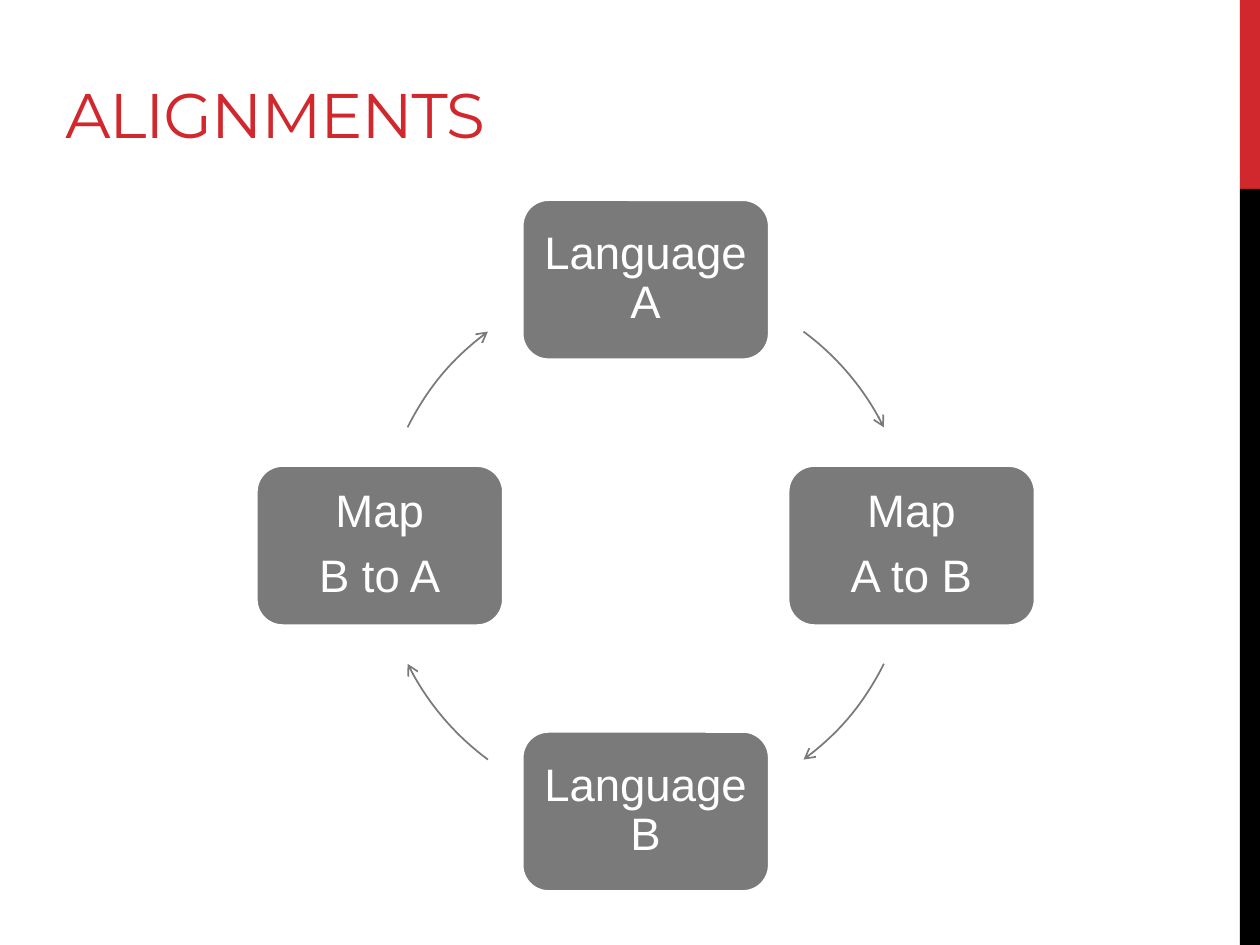
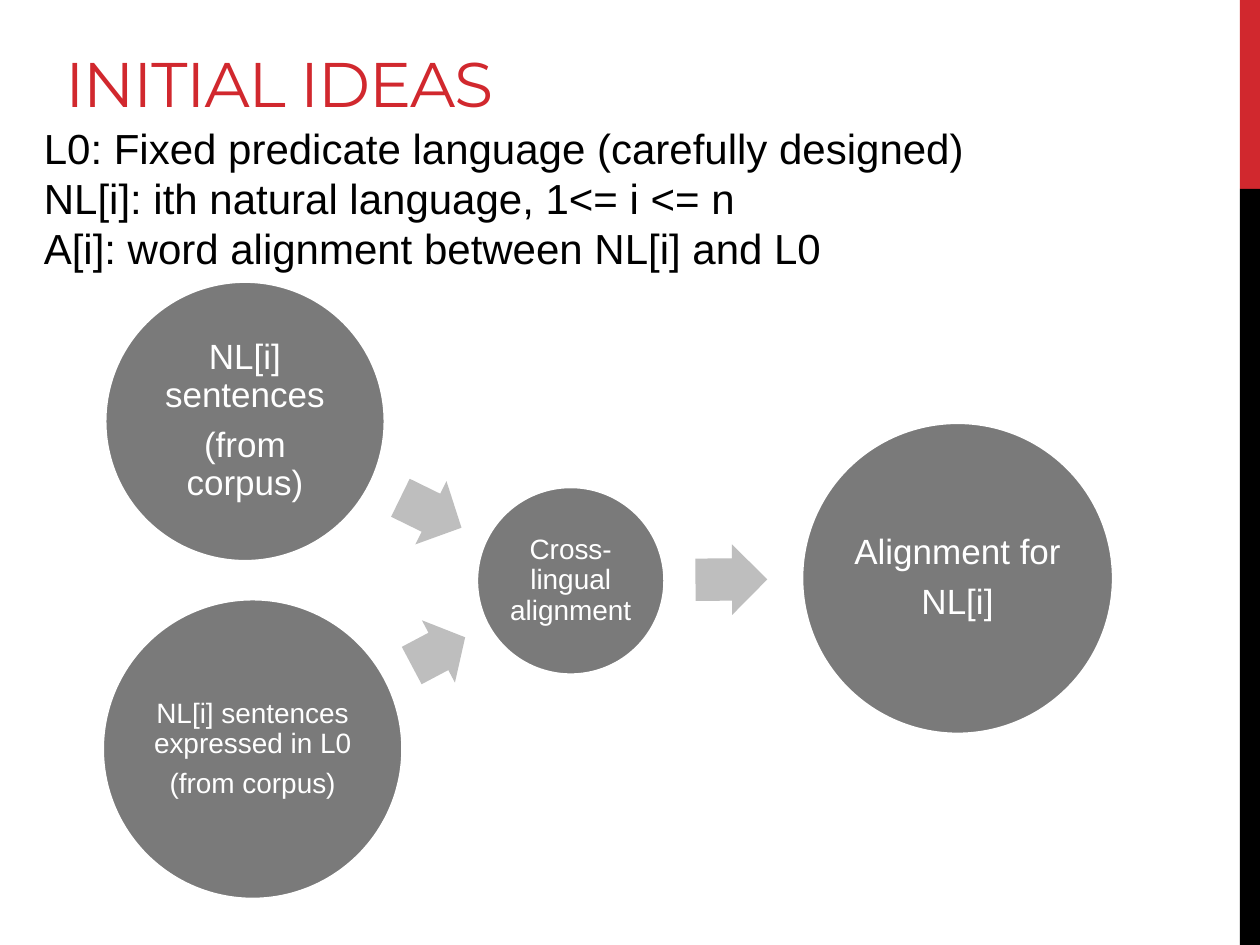
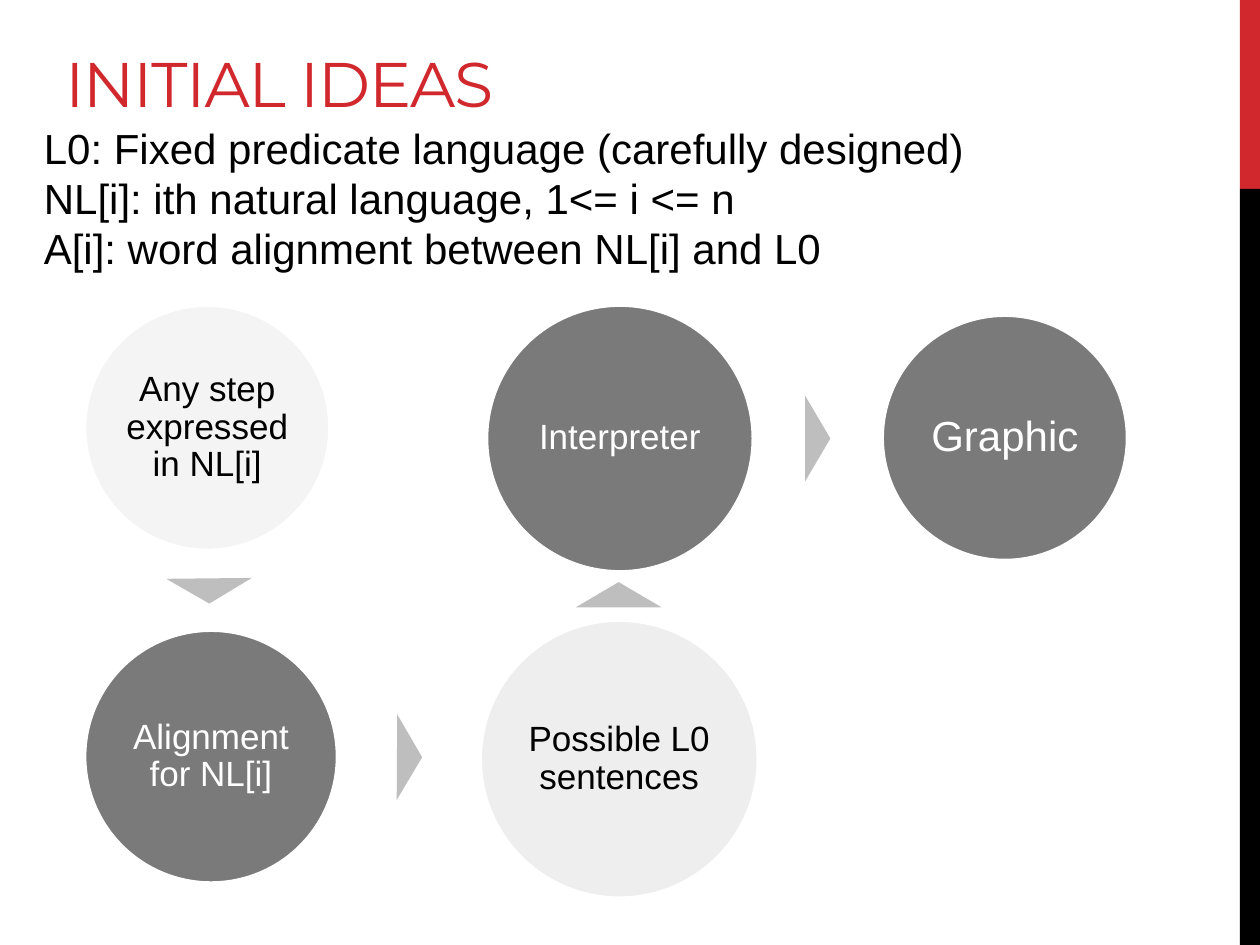
from dataclasses import dataclass

from lxml import etree
from pptx import Presentation
from pptx.dml.color import RGBColor
from pptx.enum.shapes import MSO_SHAPE
from pptx.enum.text import MSO_ANCHOR, MSO_AUTO_SIZE, PP_ALIGN
from pptx.oxml.ns import qn
from pptx.util import Inches, Pt

RECT = MSO_SHAPE.RECTANGLE
ROUND_RECT = MSO_SHAPE.ROUNDED_RECTANGLE
OVAL = MSO_SHAPE.OVAL
ARC = MSO_SHAPE.ARC
ARROW = MSO_SHAPE.RIGHT_ARROW
TRIANGLE = MSO_SHAPE.ISOSCELES_TRIANGLE
MIDDLE = MSO_ANCHOR.MIDDLE
BOTTOM = MSO_ANCHOR.BOTTOM
CENTER = PP_ALIGN.CENTER
GROW = MSO_AUTO_SIZE.SHAPE_TO_FIT_TEXT

COLS, ROWS = 100, 75
CELL = Inches(0.1)


@dataclass(frozen=True)
class Theme:
    red: str = "D1282E"
    black: str = "000000"
    white: str = "FFFFFF"
    node: str = "7A7A7A"
    pointer: str = "BEBEBE"
    title_font: str = "Montserrat"
    body_font: str = "Arial"
    title_size: int = 36
    box_size: int = 26
    body_size: int = 24
    circle_size: int = 20
    small_size: int = 16
    outline: float = 2.25
    arc_line: float = 1


def grid(*cells):
    return [round(c * CELL) for c in cells]


def rgb(value):
    return RGBColor.from_string(value)


class Deck:
    def __init__(self, theme):
        self.theme = theme
        self.prs = Presentation()
        self.prs.slide_width, self.prs.slide_height = grid(COLS, ROWS)
        self.slide = None

    def new_slide(self, title, title_bottom):
        self.slide = self.prs.slides.add_slide(self.prs.slide_layouts[6])
        self.shape(RECT, (98.4, 0, 1.6, 15), self.theme.red)
        self.shape(RECT, (98.4, 15, 1.6, 60), self.theme.black)
        self.title(title, title_bottom)

    def shape(self, kind, box, fill=None, rotation=0):
        sp = self.slide.shapes.add_shape(kind, *grid(*box))
        sp.shadow.inherit = False
        sp.rotation = rotation
        sp.line.fill.background()
        if fill:
            sp.fill.solid()
            sp.fill.fore_color.rgb = rgb(fill)
        else:
            sp.fill.background()
        return sp

    def set_text(self, tf, lines, font, size, color):
        tf.word_wrap = True
        for i, line in enumerate(lines):
            p = tf.add_paragraph() if i else tf.paragraphs[0]
            p.text = line
            p.font.name = font
            p.font.size = Pt(size)
            p.font.color.rgb = rgb(color)

    def title(self, text, bottom):
        t = self.theme
        tf = self.slide.shapes.add_textbox(*grid(4.2, bottom - 15, 63.3, 15)).text_frame
        tf.vertical_anchor = BOTTOM
        self.set_text(tf, [text], t.title_font, t.title_size, t.red)
        tf.paragraphs[0].runs[0]._r.get_or_add_rPr().set("spc", "-60")

    def body(self, lines):
        t = self.theme
        tf = self.slide.shapes.add_textbox(*grid(2.5, 9.2, 93.3, 13.1)).text_frame
        self.set_text(tf, lines, t.body_font, t.body_size, t.black)
        tf.auto_size = GROW

    def node(self, kind, box, lines, size, inset, opacity=100):
        t = self.theme
        sp = self.shape(kind, box, t.node)
        sp.line.color.rgb = rgb(t.white)
        sp.line.width = Pt(t.outline)
        if opacity < 100:
            color = sp._element.spPr.find(qn("a:solidFill"))[0]
            etree.SubElement(color, qn("a:alpha")).set("val", str(opacity * 1000))
        tf = sp.text_frame
        tf.vertical_anchor = MIDDLE
        tf.margin_left = tf.margin_right = tf.margin_top = tf.margin_bottom = Inches(inset)
        self.set_text(tf, lines, t.body_font, size, t.white if opacity == 100 else t.black)
        for p in tf.paragraphs:
            p.alignment = CENTER
            p.line_spacing = 0.9
            p.space_after = Pt(0.35 * size)

    def box(self, center_x, center_y, lines):
        w, h = 19.7, 12.8
        self.node(ROUND_RECT, (center_x - w / 2, center_y - h / 2, w, h),
                  lines, self.theme.box_size, 0.11)

    def circle(self, left, top, diameter, lines, size=None, opacity=100):
        size = size or self.theme.circle_size
        inset = 0.02 if size == self.theme.small_size else 0.03
        self.node(OVAL, (left, top, diameter, diameter), lines, size, inset, opacity)

    def arc(self, center_x, center_y, radius, start, end):
        sp = self.shape(ARC, (center_x - radius, center_y - radius, 2 * radius, 2 * radius))
        for i, angle in enumerate((start, end)):
            sp.adjustments[i] = angle % 360 * 0.6
        sp.line.color.rgb = rgb(self.theme.node)
        sp.line.width = Pt(self.theme.arc_line)
        ln = sp._element.spPr.find(qn("a:ln"))
        etree.SubElement(ln, qn("a:tailEnd")).set("type", "arrow")

    def arrow(self, left, top, width, rotation):
        sp = self.shape(ARROW, (left, top, width, 5.6), self.theme.pointer, rotation)
        sp.adjustments[0] = 0.6
        sp.adjustments[1] = 0.5

    def triangle(self, left, top, rotation):
        self.shape(TRIANGLE, (left, top, 6.8, 2), self.theme.pointer, rotation)


def alignments(deck):
    deck.new_slide("ALIGNMENTS", 12.5)
    x, y, radius = 51.25, 43.3, 21.1
    deck.box(x, y - radius, ["Language A"])
    deck.box(x + radius, y, ["Map", "A to B"])
    deck.box(x, y + radius, ["Language B"])
    deck.box(x - radius, y, ["Map", "B to A"])
    for middle in (-40, 40, 140, 220):
        deck.arc(x, y, radius, middle - 13.6, middle + 13.6)


def ideas(deck):
    deck.new_slide("INITIAL IDEAS", 10)
    deck.body(["L0: Fixed predicate language (carefully designed)",
               "NL[i]: ith natural language, 1<= i <= n",
               "A[i]: word alignment between NL[i] and L0"])


def training(deck):
    ideas(deck)
    small = deck.theme.small_size
    deck.circle(37.8, 38.6, 15, ["Cross-lingual alignment"], small)
    deck.circle(63.6, 33.5, 24.8, ["Alignment for", "NL[i]"])
    deck.circle(8.1, 47.5, 23.9, ["NL[i] sentences expressed in L0", "(from corpus)"], small)
    deck.circle(8.3, 22.3, 22.3, ["NL[i] sentences", "(from corpus)"])
    deck.arrow(55.2, 43.2, 5.7, 359.7)
    deck.arrow(32.4, 48.9, 4.8, 332.1)
    deck.arrow(31.5, 37.9, 5.4, 26.1)


def interpreting(deck):
    ideas(deck)
    deck.circle(6.7, 24.2, 19.5, ["Any step expressed in NL[i]"], opacity=8)
    deck.triangle(13.2, 45.9, 179.4)
    deck.circle(6.7, 50, 20.1, ["Alignment for NL[i]"])
    deck.triangle(29.1, 59.1, 90.3)
    deck.circle(38.1, 49.2, 22.1, ["Possible L0 sentences"], opacity=12)
    deck.triangle(45.7, 46.2, 0)
    deck.circle(38.6, 24.2, 21.2, ["Interpreter"])
    deck.triangle(61.5, 33.8, 90)
    deck.circle(70, 25, 19.5, ["Graphic"], deck.theme.body_size)


def main():
    deck = Deck(Theme())
    alignments(deck)
    training(deck)
    interpreting(deck)
    deck.prs.save("out.pptx")


if __name__ == "__main__":
    main()
